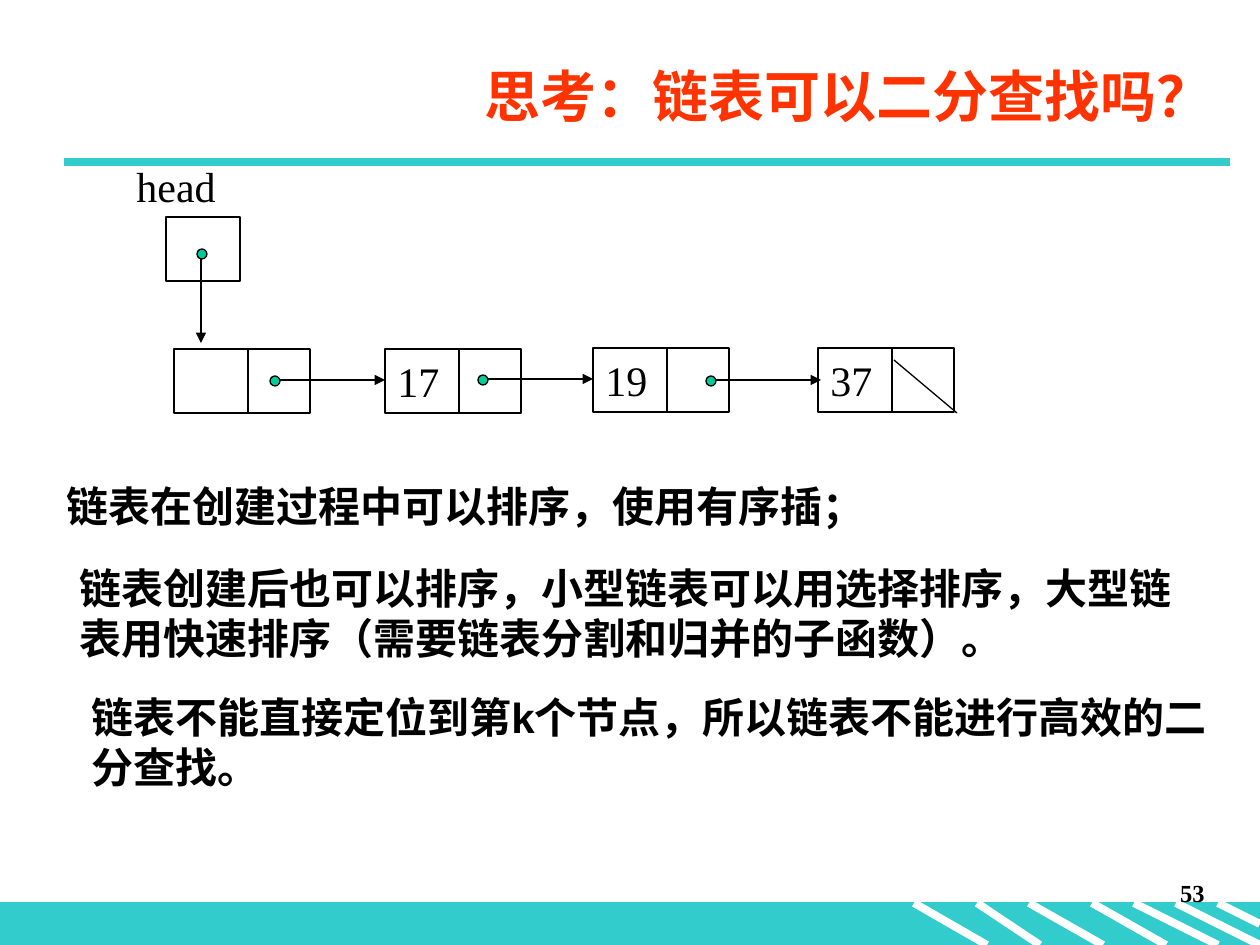
from lxml import etree
from pptx import Presentation, util as u
from pptx.dml.color import RGBColor
from pptx.enum import shapes, text
from pptx.oxml.ns import qn

SCALE = 914400 / 126
TEAL = RGBColor(0x33, 0xCC, 0xCC)
GREEN = RGBColor(0x00, 0xCC, 0x99)
RED = RGBColor(0xFF, 0x33, 0x00)
BLACK = RGBColor(0, 0, 0)
WHITE = RGBColor(255, 255, 255)
SANS, SERIF, HAN = "Arial", "Times New Roman", "Noto Sans CJK SC"


def px(*vals):
    return [u.Emu(round(v * SCALE)) for v in vals]


class Page:
    def __init__(self, slide):
        self.slide = slide

    def fill_text(self, shape, words, size=24, font=SERIF, color=BLACK, bold=False, right=False):
        frame = shape.text_frame
        frame.word_wrap = True
        frame.vertical_anchor = text.MSO_ANCHOR.TOP
        para = frame.paragraphs[0]
        para.text = words
        para.alignment = text.PP_ALIGN.RIGHT if right else text.PP_ALIGN.LEFT
        style = para.font
        style.size, style.name, style.bold = u.Pt(size), font, bold
        style.color.rgb = color
        if font != SERIF:
            props = para._p.pPr.find(qn("a:defRPr"))
            etree.SubElement(props, qn("a:ea")).set("typeface", HAN)

    def label(self, words, x, y, w, h, **style):
        self.fill_text(self.slide.shapes.add_textbox(*px(x, y, w, h)), words, **style)

    def shape(self, kind, x, y, w, h, fill=None, line=BLACK):
        item = self.slide.shapes.add_shape(kind, *px(x, y, w, h))
        item.shadow.inherit = False
        if fill is None:
            item.fill.background()
        else:
            item.fill.solid()
            item.fill.fore_color.rgb = fill
        item.line.color.rgb = line
        item.line.width = u.Pt(0.75)
        return item

    def box(self, x, y, w, h, **style):
        return self.shape(shapes.MSO_SHAPE.RECTANGLE, x, y, w, h, **style)

    def dot(self, x, y):
        self.shape(shapes.MSO_SHAPE.OVAL, x, y, 10, 10, fill=GREEN)

    def line(self, x1, y1, x2, y2, color=BLACK, width=0.75, arrow=False):
        item = self.slide.shapes.add_connector(
            shapes.MSO_CONNECTOR.STRAIGHT, *px(x1, y1, x2, y2))
        item.line.color.rgb = color
        item.line.width = u.Pt(width)
        props = item._element.spPr
        if arrow:
            etree.SubElement(props.find(qn("a:ln")), qn("a:tailEnd")).set("type", "triangle")
        etree.SubElement(props, qn("a:effectLst"))

    def node(self, x, y, words):
        item = self.box(x, y, 136, 64)
        if words:
            self.fill_text(item, words)
        self.line(x + 74, y, x + 74, y + 63)

    def link(self, x, y, end):
        self.dot(x, y)
        self.line(x + 10, y + 4, end, y + 4, arrow=True)


def main():
    deck = Presentation()
    deck.slide_width, deck.slide_height = px(1260, 945)
    page = Page(deck.slides.add_slide(deck.slide_layouts[6]))

    page.box(0, 903, 1260, 42, fill=TEAL, line=TEAL)
    for left, right, low in ((914, 987, 945), (977, 1040, 945), (1029, 1103, 945),
                             (1092, 1166, 945), (1134, 1218, 945), (1176, 1260, 945),
                             (1218, 1260, 924)):
        page.line(left, 903, right, low, color=WHITE, width=4.5)
    page.line(64, 162, 1230, 162, color=TEAL, width=4.5)
    page.label("53", 955, 872, 262, 63, size=14, bold=True, right=True)
    page.label("思考：链表可以二分查找吗？", 323, 55, 903, 81,
               size=32, font=HAN, color=RED, bold=True, right=True)

    page.label("head", 124, 154, 168, 63)
    page.box(166, 217, 74, 64)
    page.dot(197, 249)
    page.line(201, 259, 201, 343, arrow=True)
    for x, y, words in ((174, 349, ""), (385, 349, "17"), (593, 348, "19"), (818, 348, "37")):
        page.node(x, y, words)
    for x, y, end in ((270, 376, 385), (478, 375, 593), (706, 376, 821)):
        page.link(x, y, end)
    page.line(894, 360, 957, 413)

    for x, y, h, words in (
            (54, 474, 63, "链表在创建过程中可以排序，使用有序插；"),
            (67, 556, 115, "链表创建后也可以排序，小型链表可以用选择排序，"
                           "大型链表用快速排序（需要链表分割和归并的子函数）。"),
            (79, 685, 115, "链表不能直接定位到第k个节点，所以链表不能进行高效的二分查找。")):
        page.label(words, x, y, 1150, h, font=SANS, bold=True)

    deck.save("out.pptx")


if __name__ == "__main__":
    main()
